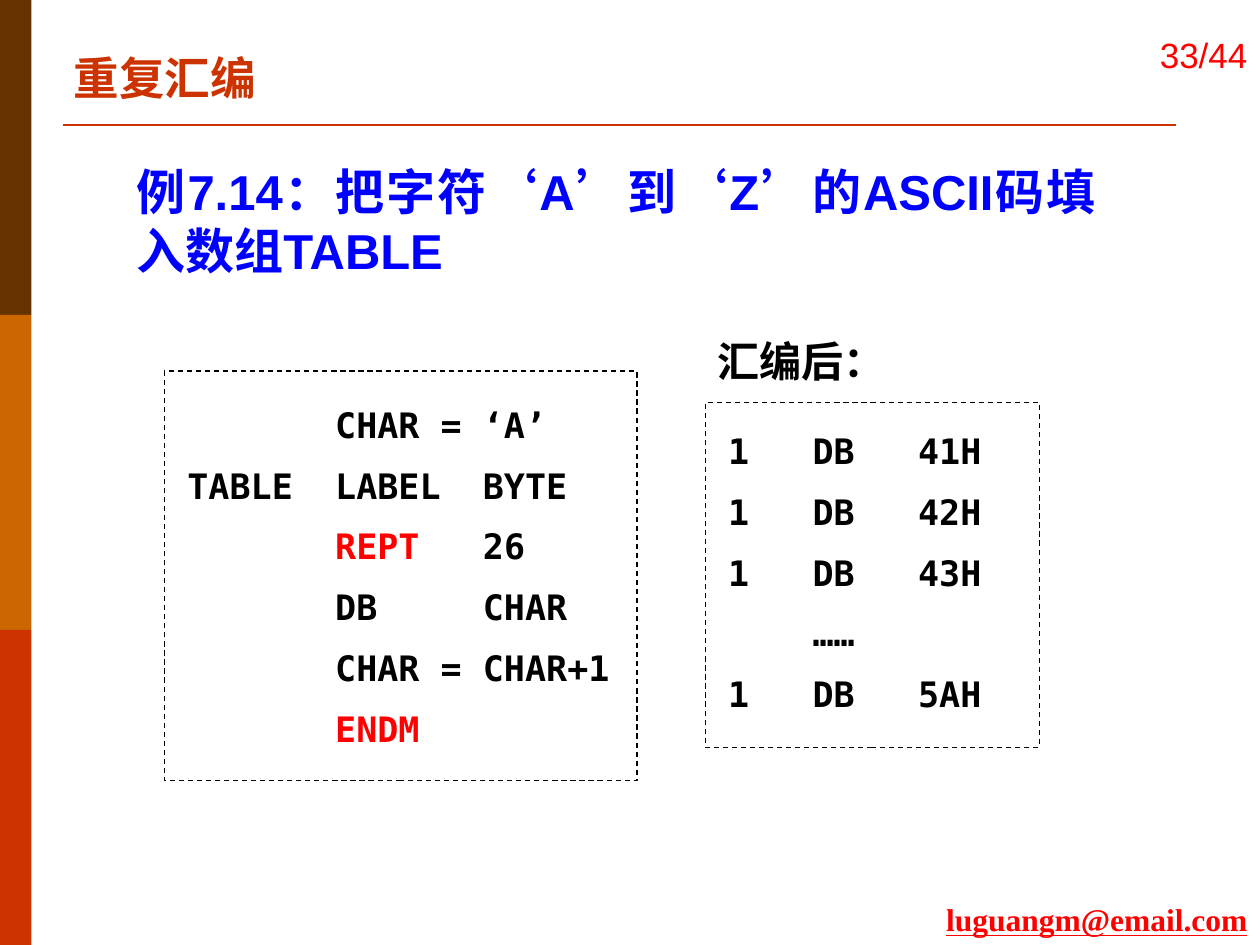
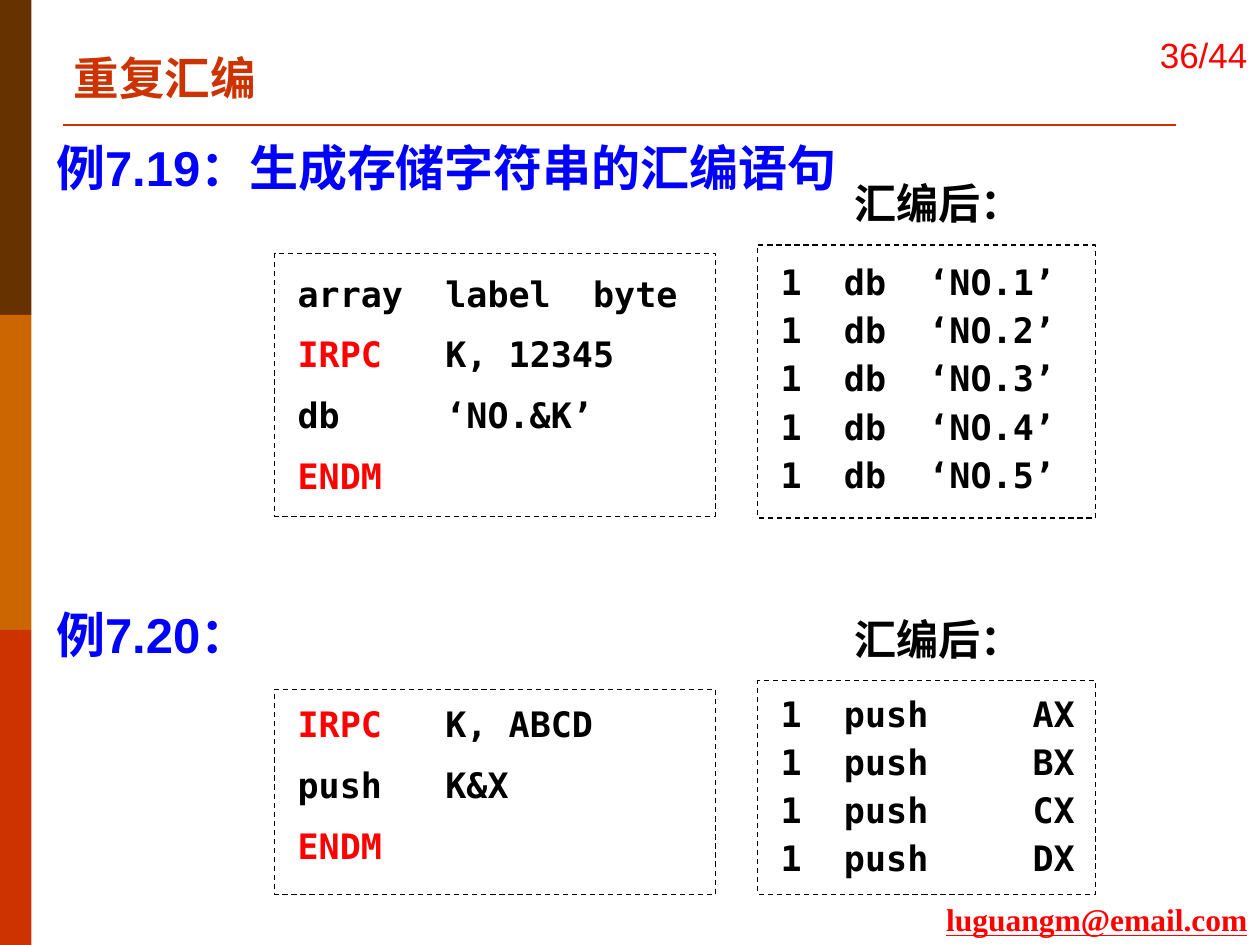
"""Build two slides on repeat-assembly macros with their listings and expansions."""
import pptx
import pptx.dml.color
import pptx.enum.dml
import pptx.enum.lang
import pptx.enum.shapes
import pptx.enum.text
import pptx.util
from lxml import etree

Pt = pptx.util.Pt
ALIGN = pptx.enum.text.PP_ALIGN
ANCHOR = pptx.enum.text.MSO_ANCHOR
RECTANGLE = pptx.enum.shapes.MSO_SHAPE.RECTANGLE

COLOURS = {
    "brown": "663300", "orange": "CC6600", "rust": "CC3300",
    "red": "FF0000", "blue": "0000FF", "black": "000000",
}
BANDS = ["brown", "orange", "rust"]
KEYWORDS = ["REPT", "IRPC", "ENDM"]
TOPIC = "重复汇编"
CONTACT = "luguangm@email.com"
EXPANDED = "汇编后："
PAGE_COUNT = 44
WIDTH, HEIGHT = 720, 540
BAND_WIDTH = 18
CODE_INDENT = 6
CODE_GAP = 10.7

SLIDES = [
    {
        "page": 33,
        "headings": [
            ("例7.14：把字符‘A’到‘Z’的ASCII码填入数组TABLE",
             (71, 89, 562, 74), ALIGN.JUSTIFY),
        ],
        "labels": [(403, 188)],
        "listings": [
            {"frame": (94, 212, 270, 234), "drop": 15, "spacing": 1, "code": [
                "       CHAR = ‘A’",
                "TABLE  LABEL  BYTE",
                "       REPT   26",
                "       DB     CHAR",
                "       CHAR = CHAR+1",
                "       ENDM",
            ]},
            {"frame": (403, 230, 191, 197), "drop": 12, "spacing": 1, "code": [
                "1   DB   41H",
                "1   DB   42H",
                "1   DB   43H",
                "    ……",
                "1   DB   5AH",
            ]},
        ],
    },
    {
        "page": 36,
        "headings": [
            ("例7.19：生成存储字符串的汇编语句", (25, 75, 471, 41), ALIGN.LEFT),
            ("例7.20：", (25, 342, 471, 41), ALIGN.LEFT),
        ],
        "labels": [(481, 98), (481, 347)],
        "listings": [
            {"frame": (157, 145, 252, 150), "drop": 7, "spacing": 1, "code": [
                "array  label  byte",
                "IRPC   K, 12345",
                "db     ‘NO.&K’",
                "ENDM",
            ]},
            {"frame": (433, 140, 193, 156), "drop": 12, "spacing": 0.7,
             "code": [f"1  db  ‘NO.{number}’" for number in range(1, 6)]},
            {"frame": (157, 394, 252, 117), "drop": 4, "spacing": 1, "code": [
                "IRPC   K, ABCD",
                "push   K&X",
                "ENDM",
            ]},
            {"frame": (433, 389, 193, 122), "drop": 9.5, "spacing": 0.7,
             "code": [f"1  push\t{letter}X" for letter in "ABCD"]},
        ],
    },
]


def rgb(colour):
    return pptx.dml.color.RGBColor.from_string(COLOURS[colour])


def points(values):
    return [Pt(value) for value in values]


def style(run, face, size, colour, bold=True):
    font = run.font
    font.name, font.size, font.bold = face, Pt(size), bold
    font.color.rgb = rgb(colour)
    font.language_id = pptx.enum.lang.MSO_LANGUAGE_ID.SIMPLIFIED_CHINESE


def fill_line(holder, wording, face, size, colour, bold=True,
              align=ALIGN.LEFT, anchor=ANCHOR.TOP, wrap=True):
    frame = holder.text_frame
    frame.text = wording
    frame.word_wrap = wrap
    frame.auto_size = pptx.enum.text.MSO_AUTO_SIZE.NONE
    frame.vertical_anchor = anchor
    line = frame.paragraphs[0]
    line.alignment = align
    style(line.runs[0], face, size, colour, bold)
    return line.runs[0]


def add_line(slide, wording, place, *look, **options):
    holder = slide.shapes.add_textbox(*points(place))
    return fill_line(holder, wording, *look, **options)


def add_furniture(slide, page):
    band_height = HEIGHT / len(BANDS)
    for index, colour in enumerate(BANDS):
        band = slide.shapes.add_shape(
            RECTANGLE, *points((0, index * band_height, BAND_WIDTH, band_height)))
        band.shadow.inherit = False
        band.fill.solid()
        band.fill.fore_color.rgb = rgb(colour)
        band.line.fill.background()

    rule = slide.shapes.add_connector(
        pptx.enum.shapes.MSO_CONNECTOR.STRAIGHT, *points((36, 71.5, 672, 71.5)))
    rule.line.color.rgb = rgb("rust")
    rule.line.width = Pt(1.5)
    etree.SubElement(rule.element.spPr, pptx.oxml.ns.qn("a:effectLst"))

    contact = add_line(slide, CONTACT, (532, 511, 188, 29), "Times New Roman",
                       18, "red", align=ALIGN.RIGHT, wrap=False)
    contact.font.underline = True
    add_line(slide, f"{page}/{PAGE_COUNT}", (632, 1, 88, 60), "Arial", 20, "red",
             bold=False, align=ALIGN.RIGHT, anchor=ANCHOR.MIDDLE)

    title = slide.shapes.title
    title.left, title.top, title.width, title.height = points((35, 25, 503, 39))
    fill_line(title, TOPIC, "Times New Roman", 26, "rust")


def split_keyword(code_line):
    for keyword in KEYWORDS:
        if keyword in code_line:
            before, _, after = code_line.partition(keyword)
            return [(before, "black"), (keyword, "red"), (after, "black")]
    return [(code_line, "black")]


def add_tab_stop(paragraph, position):
    stops = etree.SubElement(paragraph._p.get_or_add_pPr(), pptx.oxml.ns.qn("a:tabLst"))
    etree.SubElement(stops, pptx.oxml.ns.qn("a:tab"), pos=str(Pt(position)), algn="l")


def add_listing(slide, listing):
    left, top, width, height = listing["frame"]
    drop = listing["drop"]
    group = slide.shapes.add_group_shape()
    code = group.shapes.add_textbox(*points(
        (left + CODE_INDENT, top + drop, width - CODE_INDENT, height - drop))).text_frame
    code.word_wrap = True
    for index, code_line in enumerate(listing["code"]):
        paragraph = code.add_paragraph() if index else code.paragraphs[0]
        if "\t" in code_line:
            add_tab_stop(paragraph, 144)
        paragraph.line_spacing = listing["spacing"]
        if index:
            paragraph.space_before = Pt(CODE_GAP)
        for wording, colour in split_keyword(code_line):
            if wording:
                run = paragraph.add_run()
                run.text = wording
                style(run, "DejaVu Sans Mono", 20, colour)

    border = group.shapes.add_shape(RECTANGLE, *points(listing["frame"]))
    border.shadow.inherit = False
    border.fill.background()
    border.line.color.rgb = rgb("black")
    border.line.width = Pt(0.75)
    border.line.dash_style = pptx.enum.dml.MSO_LINE.DASH


def main():
    deck = pptx.Presentation()
    deck.slide_width, deck.slide_height = Pt(WIDTH), Pt(HEIGHT)
    title_only = deck.slide_layouts.get_by_name("Title Only")
    for content in SLIDES:
        slide = deck.slides.add_slide(title_only)
        add_furniture(slide, content["page"])
        for wording, place, align in content["headings"]:
            add_line(slide, wording, place, "Arial", 28, "blue", align=align)
        for left, top in content["labels"]:
            add_line(slide, EXPANDED, (left, top, 125, 36), "Courier New", 24, "black")
        for listing in content["listings"]:
            add_listing(slide, listing)
    deck.save("out.pptx")


if __name__ == "__main__":
    main()
